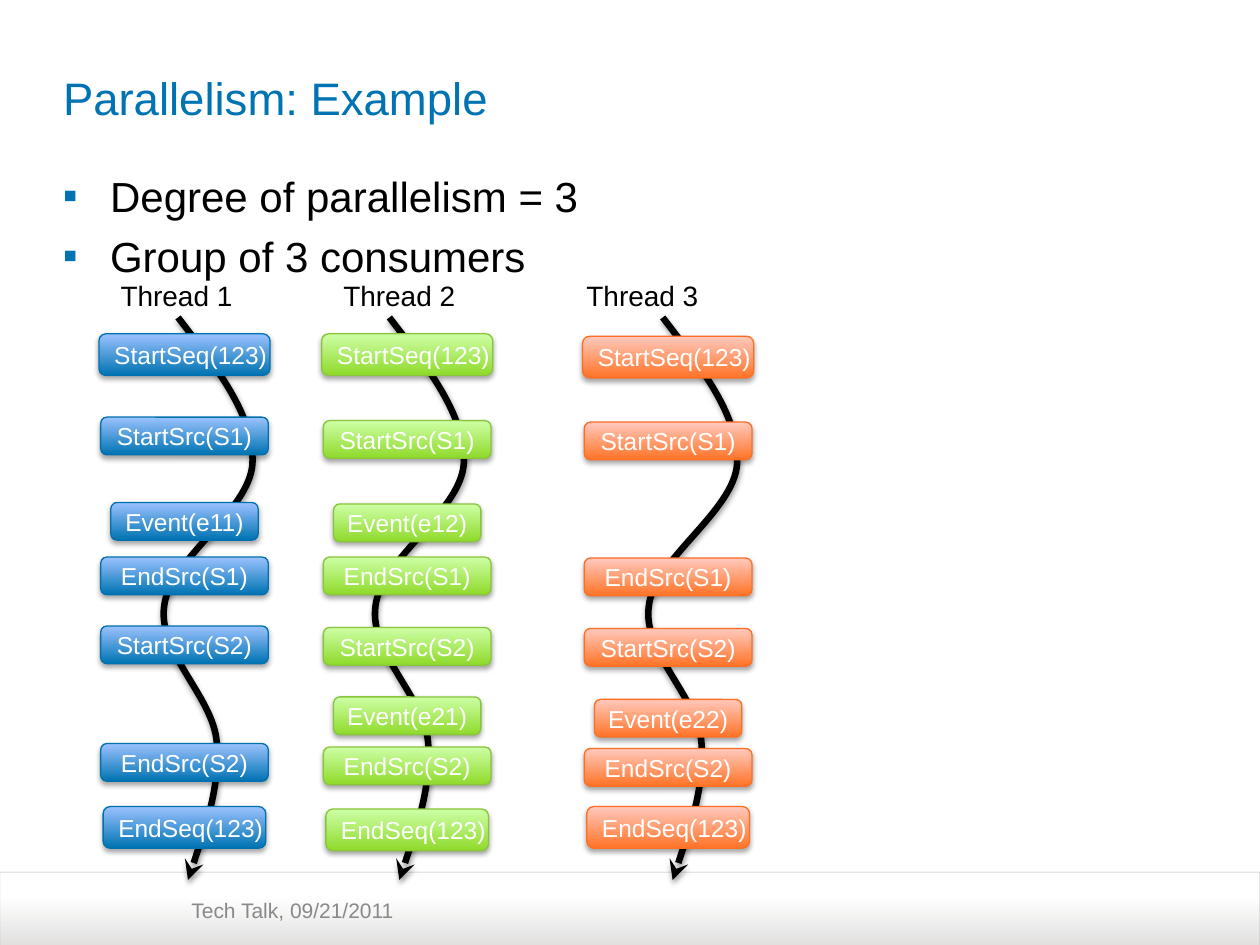
from itertools import islice

from lxml import etree
from pptx import Presentation
from pptx import util as u
from pptx.dml.color import RGBColor
from pptx.enum import shapes, text
from pptx.oxml import ns

FONT = "Arial"
BLUE, BLACK, WHITE, GREY = "0073B2", "000000", "FFFFFF", "88898B"
LABEL_TOP = 5.49

# Box kind: width, height, left inset (cm)
SIZES = {
    "StartSeq": (3.45, 0.84, 0.25),
    "EndSeq": (3.28, 0.84, 0.25),
    "StartSrc": (3.38, 0.76, 0),
    "EndSrc": (3.38, 0.76, 0),
    "Event": (2.97, 0.76, 0),
}

# Start point, four cubic segments of three points each, and the arrow tip
THREAD_POINTS = [
    (0.41, 6.4),
    (1.17, 7.39), (1.96, 8.38), (1.91, 9.35),
    (1.85, 10.31), (0.23, 11.28), (0.13, 12.22),
    (0, 13.16), (1.12, 14.05), (1.19, 14.96),
    (1.27, 15.9), (0.61, 17.74), (0.61, 17.74),
    (0.61, 17.74),
]

THREADS = [
    {"name": "Thread 1", "label_left": 2.01, "curve_left": 3.18, "center": 3.72,
     "colors": (BLUE, "9BC2FF", "0070AE"),
     "steps": [("StartSeq(123)", 6.73), ("StartSrc(S1)", 8.41), ("Event(e11)", 10.13),
               ("EndSrc(S1)", 11.23), ("StartSrc(S2)", 12.62), ("EndSrc(S2)", 14.99),
               ("EndSeq(123)", 16.26)]},
    {"name": "Thread 2", "label_left": 6.5, "curve_left": 7.44, "center": 8.21,
     "colors": ("8FDA2B", "CDFFA6", "89C53A"),
     "steps": [("StartSeq(123)", 6.73), ("StartSrc(S1)", 8.48), ("Event(e12)", 10.16),
               ("EndSrc(S1)", 11.23), ("StartSrc(S2)", 12.65), ("Event(e21)", 14.05),
               ("EndSrc(S2)", 15.06), ("EndSeq(123)", 16.31)]},
    {"name": "Thread 3", "label_left": 11.4, "curve_left": 12.95, "center": 13.47,
     "colors": ("FF7327", "FFC9BD", "FE6F22"),
     "steps": [("StartSeq(123)", 6.78), ("StartSrc(S1)", 8.51), ("EndSrc(S1)", 11.25),
               ("StartSrc(S2)", 12.67), ("Event(e22)", 14.1), ("EndSrc(S2)", 15.09),
               ("EndSeq(123)", 16.26)]},
]


def color(value):
    return RGBColor.from_string(value)


def add_xml(parent, tag, **attributes):
    child = etree.SubElement(parent, ns.qn(tag))
    for name, value in attributes.items():
        child.set(name, str(value))
    return child


def place(shape, left, top, width, height):
    shape.left, shape.top = u.Cm(left), u.Cm(top)
    shape.width, shape.height = u.Cm(width), u.Cm(height)


def set_insets(frame, left, top, right, bottom):
    frame.margin_left, frame.margin_top = u.Cm(left), u.Cm(top)
    frame.margin_right, frame.margin_bottom = u.Cm(right), u.Cm(bottom)


def format_text(frame, size, hue, align):
    for para in frame.paragraphs:
        para.alignment = align
        for span in para.runs:
            span.font.name = FONT
            span.font.size = u.Pt(size)
            span.font.color.rgb = color(hue)


def set_gradient(shape, bottom, top, top_position=1):
    shape.fill.gradient()
    shape.fill.gradient_angle = 90
    first, last = shape.fill.gradient_stops
    first.color.rgb, first.position = color(bottom), 0
    last.color.rgb, last.position = color(top), top_position


def set_line(shape, hue, width):
    shape.line.color.rgb = color(hue)
    shape.line.width = u.Pt(width)


def add_shadow(shape, distance, opacity):
    """Soft black shadow straight below; distance in points, opacity in percent."""
    shape.shadow.inherit = False
    effects = shape.element.spPr.find(ns.qn("a:effectLst"))
    shadow = add_xml(effects, "a:outerShdw", blurRad=u.Pt(3.1), dist=u.Pt(distance),
                     dir=5400000, rotWithShape=0)
    hue = add_xml(shadow, "a:srgbClr", val=BLACK)
    add_xml(hue, "a:alpha", val=opacity * 1000)


def add_title(page, wording):
    title = page.shapes.title
    place(title, 1.27, 0.56, 22.86, 2.79)
    frame = title.text_frame
    frame.text = wording
    frame.vertical_anchor = text.MSO_ANCHOR.MIDDLE
    set_insets(frame, 0, 0.13, 0, 0.13)
    format_text(frame, 26, BLUE, text.PP_ALIGN.LEFT)


def add_label(page, wording, area, size, hue, align=text.PP_ALIGN.LEFT, wrap=True):
    box = page.shapes.add_textbox(*map(u.Cm, area))
    frame = box.text_frame
    frame.text = wording
    frame.word_wrap = wrap
    set_insets(frame, 0, 0.13, 0.25, 0.13)
    format_text(frame, size, hue, align)
    return frame


def add_bullets(page, items):
    frame = add_label(page, "\n".join(items), (1.27, 3.3, 22.86, 2.34), 24, BLACK)
    for para in frame.paragraphs:
        settings = para._p.get_or_add_pPr()
        settings.set("marL", str(u.Cm(0.95)))
        settings.set("indent", str(u.Cm(-0.95)))
        add_xml(add_xml(settings, "a:buClr"), "a:srgbClr", val=BLUE)
        add_xml(settings, "a:buFont", typeface=FONT)
        add_xml(settings, "a:buChar", char="▪")
    for para in frame.paragraphs[1:]:
        para.space_before = u.Pt(5.5)


def add_footer(page):
    band = page.shapes.add_shape(shapes.MSO_SHAPE.ROUND_2_SAME_RECTANGLE,
                                 u.Cm(0), u.Cm(17.58), u.Cm(25.4), u.Cm(1.49))
    band.adjustments[0] = 0
    band.shadow.inherit = False
    set_gradient(band, "E1E0DF", WHITE, 0.68)
    set_line(band, "A6A6A6", 0.25)
    line_hue = band.line._ln.find(".//" + ns.qn("a:srgbClr"))
    add_xml(line_hue, "a:alpha", val=79000)
    add_label(page, "Tech Talk, 09/21/2011", (3.86, 17.96, 7.87, 0.86), 12, GREY)


def add_thread_curve(page, left):
    points = [(u.Cm(left + x), u.Cm(y)) for x, y in THREAD_POINTS]
    builder = page.shapes.build_freeform(*points[0])
    builder.add_line_segments(points[1:], close=False)
    curve = builder.convert_to_shape()
    bend_segments(curve)
    curve.fill.background()
    set_line(curve, BLACK, 3.75)
    add_xml(curve.line._ln, "a:tailEnd", type="stealth")
    add_shadow(curve, 1.6, 38)


def bend_segments(curve):
    """Turn each three straight segments into one cubic segment."""
    segments = iter(curve.element.xpath(".//a:lnTo"))
    while len(group := list(islice(segments, 3))) == 3:
        cubic = etree.Element(ns.qn("a:cubicBezTo"))
        group[0].addprevious(cubic)
        for segment in group:
            cubic.append(segment[0])
            segment.getparent().remove(segment)


def add_step(page, wording, center, top, colors):
    width, height, inset = SIZES[wording.split("(")[0]]
    box = page.shapes.add_shape(shapes.MSO_SHAPE.ROUNDED_RECTANGLE, u.Cm(center - width / 2),
                                u.Cm(top), u.Cm(width), u.Cm(height))
    bottom_hue, top_hue, line_hue = colors
    set_gradient(box, bottom_hue, top_hue)
    set_line(box, line_hue, 0.75)
    add_shadow(box, 1.8, 35)
    frame = box.text_frame
    frame.text = wording
    frame.vertical_anchor = text.MSO_ANCHOR.MIDDLE
    set_insets(frame, inset, 0, 0, 0)
    format_text(frame, 14, WHITE, text.PP_ALIGN.CENTER)


def main():
    deck = Presentation()
    deck.slide_width, deck.slide_height = u.Cm(25.4), u.Cm(19.05)
    page = deck.slides.add_slide(deck.slide_layouts[5])
    add_title(page, "Parallelism: Example")
    add_footer(page)
    add_bullets(page, ["Degree of parallelism = 3", "Group of 3 consumers"])
    for thread in THREADS:
        add_thread_curve(page, thread["curve_left"])
        add_label(page, thread["name"], (thread["label_left"], LABEL_TOP, 3.35, 0.89),
                  16, BLACK, text.PP_ALIGN.CENTER, wrap=False)
        for wording, top in thread["steps"]:
            add_step(page, wording, thread["center"], top, thread["colors"])
    deck.save("out.pptx")


if __name__ == "__main__":
    main()
